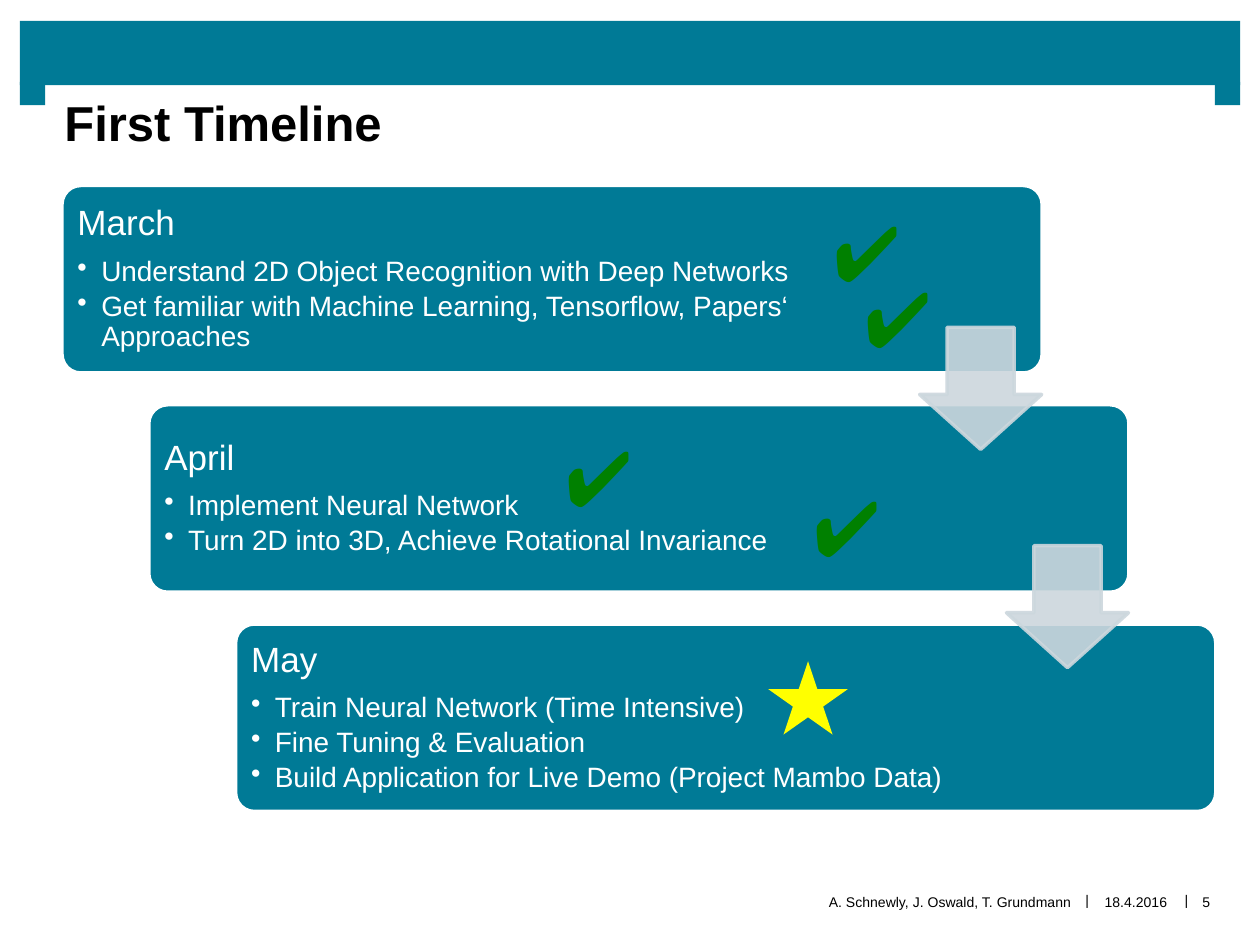
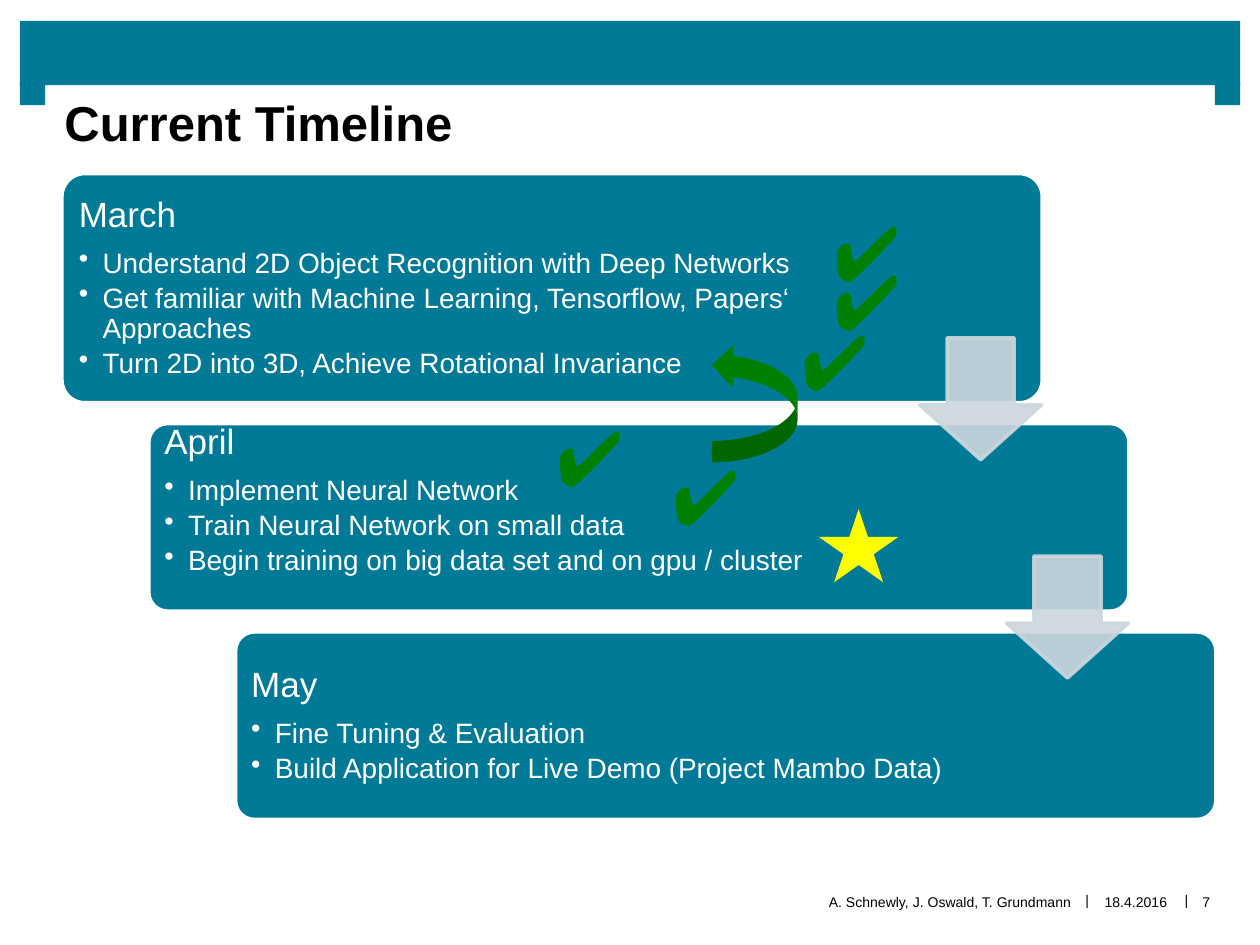
from lxml import etree
from pptx import Presentation
from pptx.dml.color import RGBColor
from pptx.enum.shapes import MSO_SHAPE
from pptx.enum.text import MSO_ANCHOR, MSO_AUTO_SIZE, PP_ALIGN
from pptx.oxml.ns import qn
from pptx.util import Cm, Pt

RECT = MSO_SHAPE.RECTANGLE
ROUND = MSO_SHAPE.ROUNDED_RECTANGLE
DOWN = MSO_SHAPE.DOWN_ARROW
CURVE = MSO_SHAPE.CURVED_RIGHT_ARROW
STAR = MSO_SHAPE.STAR_5_POINT
TOP, MIDDLE = MSO_ANCHOR.TOP, MSO_ANCHOR.MIDDLE
LEFT, CENTER, RIGHT = PP_ALIGN.LEFT, PP_ALIGN.CENTER, PP_ALIGN.RIGHT
NO_FIT = MSO_AUTO_SIZE.NONE

FONT = "Arial"
COLORS = {
    "teal": "007A96",
    "white": "FFFFFF",
    "black": "000000",
    "gray": "CCD7DD",
    "green": "008000",
    "yellow": "FFFF00",
}
CARD_X, CARD_W, STEP_X = 1.25, 19.76, 1.75
TEXT_W = 15.4
ARROW_X, ARROW_STEP, ARROW_SIZE = 18.54, 4.4, 2.46

LEARN = [
    "Understand 2D Object Recognition with Deep Networks",
    "Get familiar with Machine Learning, Tensorflow, Papers‘ Approaches",
]
TURN = "Turn 2D into 3D, Achieve Rotational Invariance"
BUILD = "Implement Neural Network"
FINISH = [
    "Fine Tuning & Evaluation",
    "Build Application for Live Demo (Project Mambo Data)",
]


def color(name):
    return RGBColor.from_string(COLORS[name])


def style(para, size, name, bold=False, align=LEFT):
    para.alignment = align
    font = para.font
    font.name, font.size, font.bold = FONT, Pt(size), bold
    font.color.rgb = color(name)


def inset(frame, left, top, right, bottom):
    frame.margin_left, frame.margin_top = Cm(left), Cm(top)
    frame.margin_right, frame.margin_bottom = Cm(right), Cm(bottom)


def add_form(slide, kind, box, fill, line=None):
    form = slide.shapes.add_shape(kind, *map(Cm, box))
    form.shadow.inherit = False
    form.fill.solid()
    form.fill.fore_color.rgb = color(fill)
    if line:
        form.line.color.rgb = color(line)
        form.line.width = Pt(2)
    else:
        form.line.fill.background()
    return form


def add_box(slide, box, anchor=MIDDLE, pad=0):
    frame = slide.shapes.add_textbox(*map(Cm, box)).text_frame
    frame.word_wrap = True
    frame.vertical_anchor = anchor
    inset(frame, pad, pad, pad, pad)
    return frame


def add_note(slide, text, box, align=CENTER):
    para = add_box(slide, box).paragraphs[0]
    para.text = text
    style(para, 8, "black", align=align)


def add_bands(slide):
    add_form(slide, RECT, (0.4, 0.42, 24.6, 1.3), "teal")
    for x in (0.4, 24.49):
        add_form(slide, RECT, (x, 1.65, 0.51, 0.47), "teal")


def add_footer(slide, number):
    for x in (21.77, 23.77):
        add_note(slide, "|", (x, 17.5, 0.3, 1.3))
    add_note(slide, "A. Schnewly, J. Oswald, T. Grundmann",
             (12.7, 17.53, 8.9, 1.3), RIGHT)
    add_note(slide, "18.4.2016", (22.05, 17.53, 1.7, 1.3))
    add_note(slide, number, (23.95, 17.53, 0.74, 1.3))


def set_title(slide, text):
    title = slide.shapes.title
    title.left, title.top = Cm(0.9), Cm(1.7)
    title.width, title.height = Cm(23.6), Cm(2.7)
    title.fill.solid()
    title.fill.fore_color.rgb = color("white")
    frame = title.text_frame
    frame.text = text
    frame.auto_size = NO_FIT
    frame.vertical_anchor = TOP
    inset(frame, 0.4, 0.16, 0.4, 0)
    style(frame.paragraphs[0], 28, "black", bold=True)


def add_bullet(para):
    props = para._p.get_or_add_pPr()
    props.set("marL", str(Cm(0.48)))
    props.set("indent", str(-Cm(0.48)))
    etree.SubElement(props, qn("a:buChar")).set("char", "•")


def add_card(slide, x, y, height, month, tasks, lift):
    card = add_form(slide, ROUND, (x, y, CARD_W, height), "teal", "white")
    card.adjustments[0] = 0.1
    edge = height * 0.03
    box = (x + edge, y + edge - lift, TEXT_W, height - 2 * edge)
    frame = add_box(slide, box, pad=0.2)
    head = frame.paragraphs[0]
    head.text = month
    head.line_spacing, head.space_after = 0.9, Pt(8)
    style(head, 20, "white")
    for task in tasks:
        para = frame.add_paragraph()
        para.text = task
        para.line_spacing, para.space_after = 0.9, Pt(2.75)
        add_bullet(para)
        style(para, 16, "white")


def add_arrow(slide, x, y):
    arrow = add_form(slide, DOWN, (x, y, ARROW_SIZE, ARROW_SIZE),
                     "gray", "gray")
    arrow.adjustments[0], arrow.adjustments[1] = 0.55, 0.45
    for tint in arrow._element.spPr.iter(qn("a:srgbClr")):
        etree.SubElement(tint, qn("a:alpha")).set("val", "90000")


def add_check(slide, x, y):
    frame = add_box(slide, (x, y, 3.15, 2.13), TOP)
    inset(frame, 0.25, 0.13, 0.25, 0.13)
    para = frame.paragraphs[0]
    para.text = "✔"
    style(para, 44, "green")


def add_plan(deck, title, number, top, gap, arrow_y, cards, checks, star):
    slide = deck.slides.add_slide(deck.slide_layouts[5])
    add_bands(slide)
    add_footer(slide, number)
    set_title(slide, title)
    y = top
    for i, (month, height, tasks, lift) in enumerate(cards):
        add_card(slide, CARD_X + i * STEP_X, y, height, month, tasks, lift)
        y += height + gap
    for i in range(len(cards) - 1):
        add_arrow(slide, ARROW_X + i * STEP_X, arrow_y + i * ARROW_STEP)
    for spot in checks:
        add_check(slide, *spot)
    add_form(slide, STAR, (*star, 1.6, 1.48), "yellow")
    return slide


def main():
    deck = Presentation()
    deck.slide_width, deck.slide_height = Cm(25.4), Cm(19.05)

    add_plan(
        deck, "First Timeline", "5", 3.74, 0.64, 6.6,
        [("March", 3.78, LEARN, 0),
         ("April", 3.78, [BUILD, TURN], 0),
         ("May", 3.78, ["Train Neural Network (Time Intensive)", *FINISH], 0)],
        [(16.15, 9.53), (16.56, 3.99), (17.17, 5.33), (11.15, 8.53)],
        (15.49, 13.33))

    slide = add_plan(
        deck, "Current Timeline", "7", 3.5, 0.42, 6.81,
        [("March", 4.62, [*LEARN, TURN], 0),
         ("April", 3.78, [BUILD, "Train Neural Network on small data",
                          "Begin training on big data set and on gpu / cluster"],
          0.34),
         ("May", 3.78, FINISH, 0)],
        [(16.56, 3.99), (16.56, 4.98), (10.97, 8.13), (13.31, 8.92),
         (15.9, 6.2)],
        (16.51, 10.26))
    back = add_form(slide, CURVE, (14.35, 6.93, 1.73, 2.39), "green")
    back.rotation = 180

    deck.save("out.pptx")


if __name__ == "__main__":
    main()
